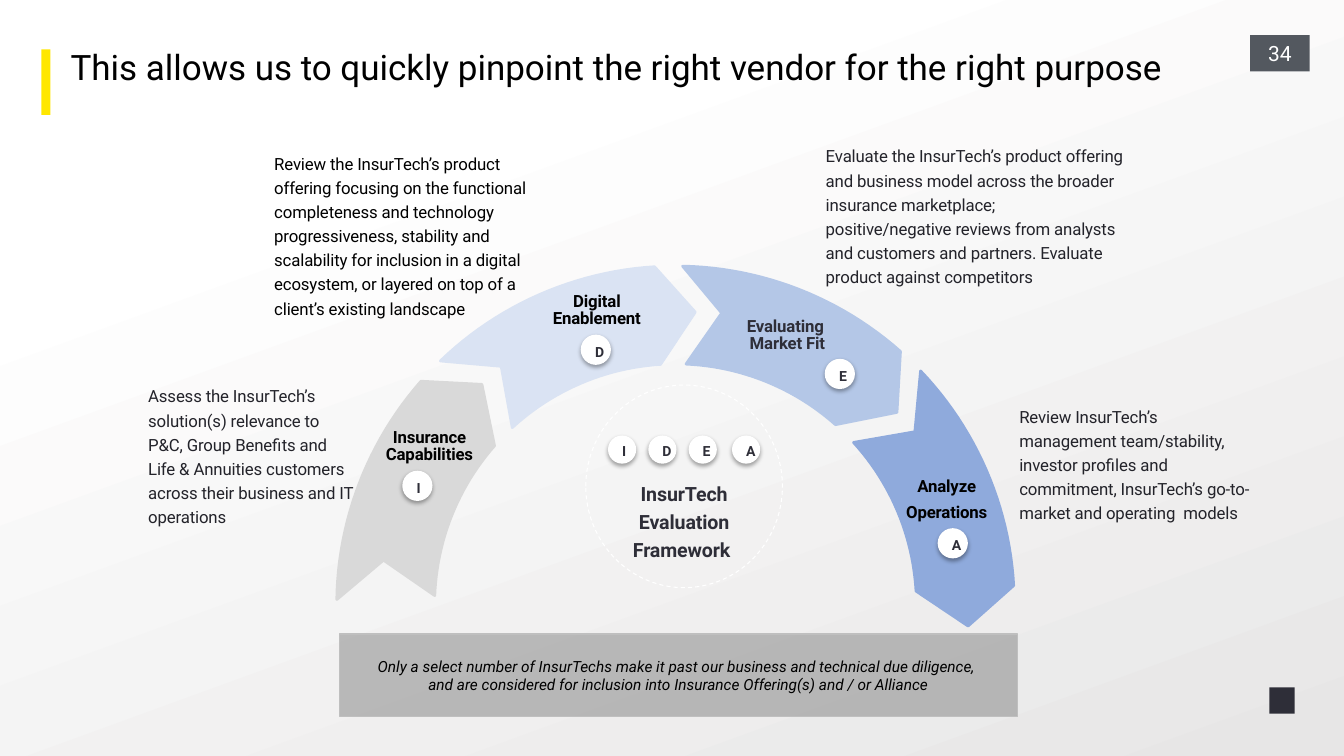
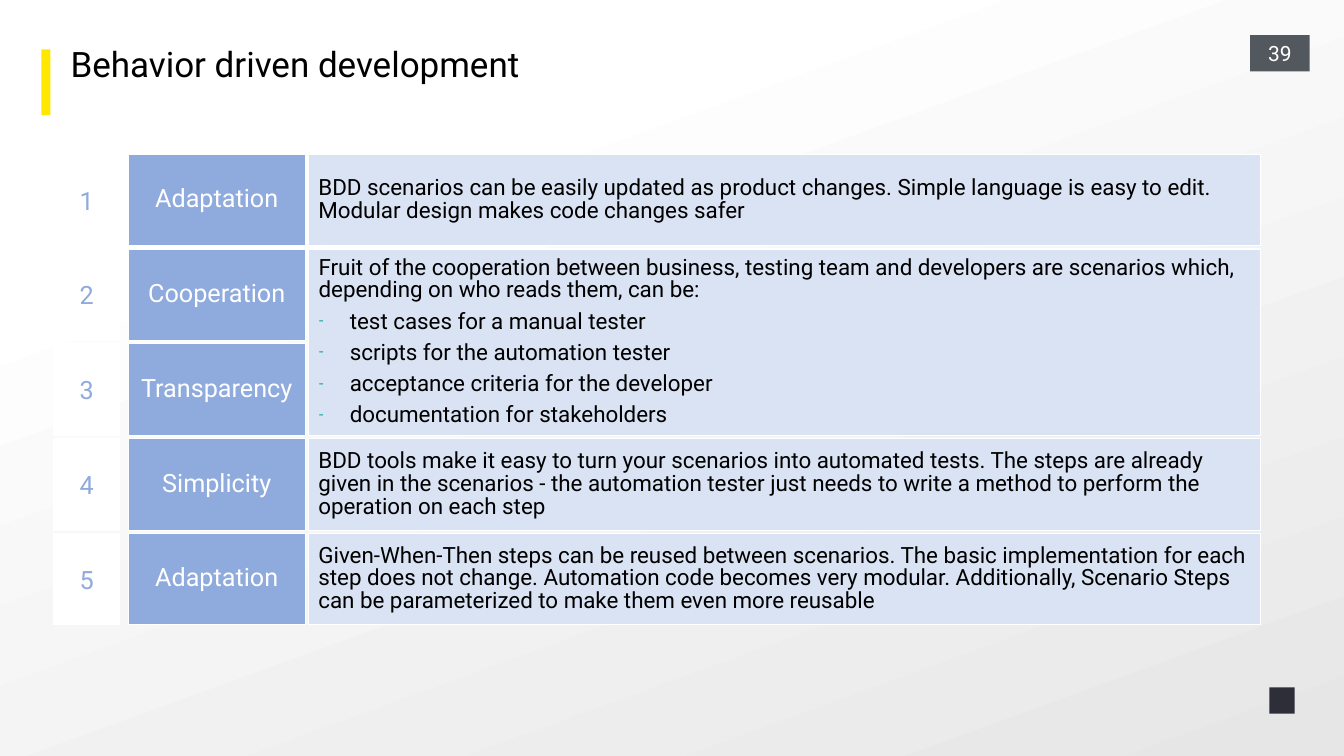
from dataclasses import dataclass
from math import cos, radians, sin

from lxml import etree
from pptx import Presentation
from pptx.dml.color import RGBColor
from pptx.enum.dml import MSO_LINE
from pptx.enum.shapes import MSO_SHAPE
from pptx.enum.text import MSO_ANCHOR, MSO_AUTO_SIZE, PP_ALIGN
from pptx.oxml.ns import qn
from pptx.util import Inches, Pt

RECT, OVAL = MSO_SHAPE.RECTANGLE, MSO_SHAPE.OVAL
LEFT, MID = PP_ALIGN.LEFT, PP_ALIGN.CENTER
TOP, CENTER = MSO_ANCHOR.TOP, MSO_ANCHOR.MIDDLE
DASH, FIXED = MSO_LINE.DASH, MSO_AUTO_SIZE.NONE


@dataclass(frozen=True)
class Theme:
    """Colours and type sizes of the deck."""
    font: str = "Roboto"
    white: str = "FFFFFF"
    black: str = "000000"
    ink: str = "23232A"
    dark: str = "2E2E38"
    slate: str = "53585F"
    yellow: str = "FFE700"
    mist: str = "E7E6E6"
    gray: str = "D9D9D9"
    edge: str = "BFBFBF"
    smoke: str = "808080"
    pale: str = "DAE3F3"
    light: str = "B4C7E7"
    blue: str = "8FAADC"
    teal: str = "27ACAA"
    head: float = 25
    large: float = 18
    main: float = 16
    page: float = 15
    core: float = 14
    note: float = 12
    small: float = 11
    tiny: float = 10


T = Theme()


def rgb(code):
    """Turn a hex code into a colour."""
    return RGBColor.from_string(code)


def put(item, vals):
    """Set each named value on an object."""
    for name, val in vals.items():
        setattr(item, name, val)


def add(node, tag, **vals):
    """Append a drawing element with its values."""
    sub = etree.SubElement(node, qn(tag))
    for name, val in vals.items():
        sub.set(name, str(val))
    return sub


def place(left, top, width, height):
    """Give a frame in inches as a dict of lengths."""
    names = ("left", "top", "width", "height")
    return dict(zip(names, map(Inches, (left, top, width, height))))


class Deck:
    """Holds the style and the current slide."""

    def __init__(self):
        """Start a wide deck with a soft gradient."""
        self.prs = Presentation()
        put(self.prs, {"slide_width": Inches(13.33), "slide_height": Inches(7.5)})
        fill = self.prs.slide_master.background.fill
        fill.gradient()
        fill.gradient_angle = 290
        for stop, spot, tone in zip(fill.gradient_stops, (0.23, 1), (T.white, T.mist)):
            stop.position = spot
            stop.color.rgb = rgb(tone)

    def page(self, kind, no, title, at):
        """Add a slide with title, bar, page number and mark."""
        self.slide = self.prs.slides.add_slide(self.prs.slide_layouts[kind])
        head = self.slide.shapes.title
        put(head, place(*at))
        self.text(head, title, T.head, T.black, para={"alignment": LEFT, "line_spacing": 0.85},
                  inset=(0, 0, 0, 0), anchor=TOP)
        self.box((0.41, 0.49, 0.09, 0.65), T.yellow)
        tab = self.box((12.4, 0.35, 0.59, 0.36), T.slate)
        self.text(tab, no, T.page, T.white, inset=(0.06,) * 4)
        self.box((12.59, 6.82, 0.25, 0.26), T.dark)

    def text(self, shape, words, size, tone, look=None, para=None,
             inset=(0.1, 0.05, 0.1, 0.05), anchor=CENTER, tight=False):
        """Fill a shape with paragraphs of one style."""
        frame = shape.text_frame
        sides = ("margin_left", "margin_top", "margin_right", "margin_bottom")
        put(frame, {"word_wrap": True, "auto_size": FIXED, "vertical_anchor": anchor,
                    **dict(zip(sides, map(Inches, inset)))})
        frame.text = words
        for line in frame.paragraphs:
            put(line, {"alignment": MID, "space_before": Pt(0), **(para or {})})
            for run in line.runs:
                put(run.font, {"name": T.font, "size": Pt(size), **(look or {})})
                run.font.color.rgb = rgb(tone)
                if tight:
                    run._r.get_or_add_rPr().set("spc", "-10")

    def paint(self, shape, fill=None, line=None, weight=0.75):
        """Set fill and outline and drop the shadow."""
        shape.shadow.inherit = False
        if fill:
            shape.fill.solid()
            shape.fill.fore_color.rgb = rgb(fill)
        else:
            shape.fill.background()
        if line:
            shape.line.color.rgb = rgb(line)
            shape.line.width = Pt(weight)
        else:
            shape.line.fill.background()
        return shape

    def box(self, at, fill=None, line=None, weight=0.75, form=RECT):
        """Draw a preset shape."""
        shape = self.slide.shapes.add_shape(form, *map(Inches, at))
        return self.paint(shape, fill, line, weight)

    def label(self, at, words, tone, bold=False):
        """Add a note, or a bold centred label."""
        shape = self.slide.shapes.add_textbox(*map(Inches, at))
        para = {"alignment": MID if bold else LEFT, "space_after": Pt(6),
                "line_spacing": 0.85 if bold else 1.2}
        self.text(shape, words, T.note, tone, {"bold": bold}, para,
                  (0, 0.04, 0, 0), TOP, True)

    def dot(self, left, top, size, words):
        """Draw a white disc with a letter and a soft shadow."""
        shape = self.box((left, top, size, size), T.white, form=OVAL)
        cast = add(shape._element.spPr.find(qn("a:effectLst")), "a:outerShdw",
                   blurRad=Pt(3.1), dist=Pt(1.8), dir=5400000, algn="t", rotWithShape=0)
        add(add(cast, "a:srgbClr", val=T.black), "a:alpha", val=35000)
        self.text(shape, words, T.tiny, T.dark, {"bold": True}, {"line_spacing": 1.2}, tight=True)

    def arrow(self, turn, tone):
        """Draw a curved arrow that starts at an angle on the ring."""
        def spot(size, deg):
            """Give a point of the ring, clockwise from the left."""
            ang = radians(turn + deg)
            return Inches(6.7 - size * cos(ang)), Inches(6 - size * sin(ang))

        steps = range(25)
        outer = [spot(3.36, 40.4 * i / 24) for i in steps]
        inner = [spot(2.39, 40.4 - 39.1 * i / 24) for i in steps]
        dots = outer + [spot(2.91, 47.8)] + inner + [spot(2.93, 7.8)]
        form = self.slide.shapes.build_freeform(*dots[0], scale=1.0)
        form.add_line_segments(dots[1:], close=True)
        self.paint(form.convert_to_shape(), tone, tone, 2)

    def cell(self, at, words, fill, size, tone, para):
        """Draw one filled cell of the grid."""
        self.text(self.box(at, fill, T.white), words, size, tone, para=para)

    def bullets(self, at, words, fill, para):
        """Fill the body with a lead line and a dashed list."""
        body = self.slide.placeholders[1]
        put(body, place(*at))
        self.paint(body, fill, T.white)
        self.text(body, words, T.main, T.black, para=para)
        for i, line in enumerate(body.text_frame.paragraphs):
            props = line._p.get_or_add_pPr()
            dent = Inches(0.31) if i else 0
            props.set("marL", str(dent))
            props.set("indent", str(-dent))
            if i:
                add(add(props, "a:buClr"), "a:srgbClr", val=T.teal)
                add(props, "a:buSzPct", val=70000)
                add(props, "a:buChar", char="-")
            else:
                add(props, "a:buNone")


ARCS = (
    (T.gray, "I", (3.99, 4.67), (3.74, 4.22, 1.04, 0.38), "Insurance Capabilities", T.black),
    (T.pale, "D", (5.76, 3.32), (5.4, 2.87, 1.04, 0.38), "Digital Enablement", T.black),
    (T.light, "E", (8.18, 3.56), (7.06, 3.12, 1.5, 0.38), "Evaluating \vMarket Fit", T.dark),
    (T.blue, "A", (9.3, 5.24), (8.64, 4.71, 1.5, 0.47), "Analyze\nOperations", T.black),
)
NOTES = (
    ((1.47, 3.75, 2.04, 1.48), T.ink,
     "Assess the InsurTech’s solution(s) relevance to P&C, Group Benefits and Life & Annuities "
     "customers across their business and IT operations"),
    ((2.72, 1.44, 2.83, 1.48), T.black,
     "Review the InsurTech’s product offering focusing on the functional completeness and "
     "technology progressiveness, stability and scalability for inclusion in a digital "
     "ecosystem, or layered on top of a client’s existing landscape"),
    ((8.19, 1.37, 2.97, 1.48), T.ink,
     "Evaluate the InsurTech’s product offering and business model across the broader "
     "insurance marketplace; positive/negative reviews from analysts and customers and "
     "partners. Evaluate product against competitors"),
    ((10.11, 3.95, 2.35, 0.99), T.ink,
     "Review InsurTech’s management team/stability, investor profiles and commitment, "
     "InsurTech’s go-to-market and operating  models"),
)
CLAIM = ("Only a select number of InsurTechs make it past our business and technical due "
         "diligence, \vand are considered for inclusion into Insurance Offering(s) and / or Alliance")
ROWS = (
    ("Adaptation", "BDD scenarios can be easily updated as product changes. Simple language is "
     "easy to edit. Modular design makes code changes safer"),
    ("Cooperation", "Fruit of the cooperation between business, testing team and developers are "
     "scenarios which, depending on who reads them, can be:\ntest cases for a manual tester\n"
     "scripts for the automation tester\nacceptance criteria for the developer\n"
     "documentation for stakeholders"),
    ("Transparency", ""),
    ("Simplicity", "BDD tools make it easy to turn your scenarios into automated tests. The "
     "steps are already given in the scenarios - the automation tester just needs to write a "
     "method to perform the operation on each step"),
    ("Adaptation", "Given-When-Then steps can be reused between scenarios. The basic "
     "implementation for each step does not change. Automation code becomes very modular. "
     "Additionally, Scenario Steps can be parameterized to make them even more reusable"),
)


def vendor(deck):
    """Build the slide with the ring of arrows."""
    deck.page(5, "34", "This allows us to quickly pinpoint the right vendor for the right purpose",
              (0.7, 0.52, 11.6, 0.53))
    for i, (fill, *_) in enumerate(ARCS):
        deck.arrow(0.9 + 45.15 * i, fill)
    core = deck.box((5.81, 3.82, 1.95, 2.01), None, T.white, form=OVAL)
    core.line.dash_style = DASH
    deck.text(core, "InsurTech Evaluation Framework ", T.core, T.dark, {"bold": True},
              {"line_spacing": 1.2}, (0.1, 0.62, 0.1, 0), TOP, True)
    for left, (_, mark, spot, at, name, tone) in zip((6.03, 6.43, 6.83, 7.26), ARCS):
        deck.dot(left, 4.32, 0.28, mark)
        deck.label(at, name, tone, True)
        deck.dot(*spot, 0.3, mark)
    for at, tone, words in NOTES:
        deck.label(at, words, tone)
    band = deck.box((3.37, 6.29, 6.72, 0.82), T.smoke, T.edge, 1)
    add(band._element.spPr.find(qn("a:solidFill"))[0], "a:alpha", val=50000)
    deck.text(band, CLAIM, T.small, T.black, {"italic": True}, {"space_after": Pt(6)})


def tests(deck):
    """Build the slide with the numbered rows."""
    deck.page(1, "39", "Behavior driven development", (0.7, 0.49, 11.6, 0.64))
    high, pitch = 0.91, 0.94
    para = {"line_spacing": 0.85, "space_after": Pt(6)}
    flush = {**para, "alignment": LEFT}
    for i, (name, words) in enumerate(ROWS):
        top = 1.53 + pitch * i
        deck.cell((0.53, top, 0.66, high), str(i + 1), T.white, T.large, T.blue, {})
        deck.cell((1.27, top, 1.76, high), name, T.blue, T.large, T.white, para)
        if "\n" in words:
            deck.bullets((3.06, top, 9.44, high + pitch), words, T.pale, flush)
        elif words:
            deck.cell((3.06, top, 9.44, high), words, T.pale, T.main, T.black, flush)


def main():
    """Build and save the deck."""
    deck = Deck()
    vendor(deck)
    tests(deck)
    deck.prs.save("out.pptx")


if __name__ == "__main__":
    main()
